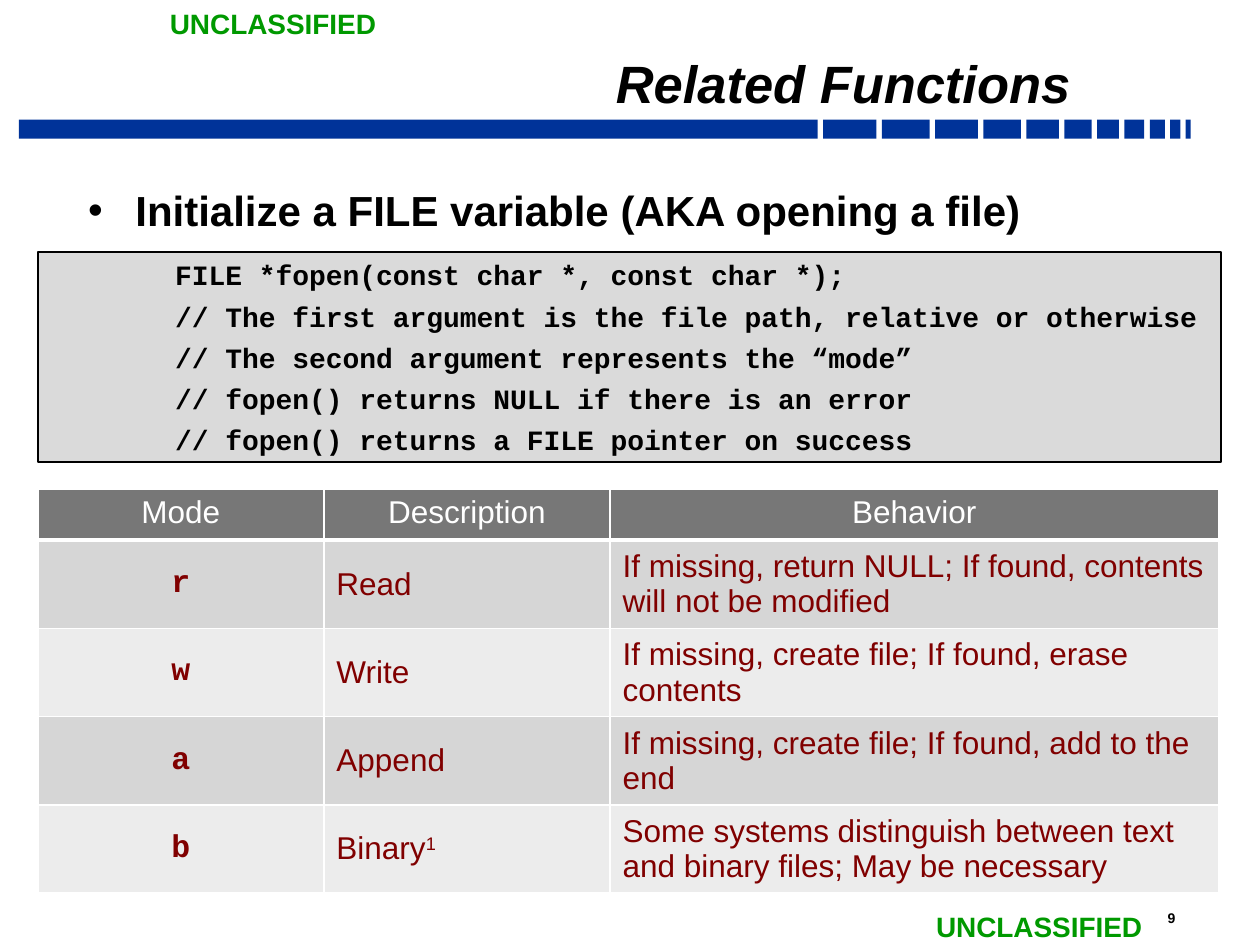
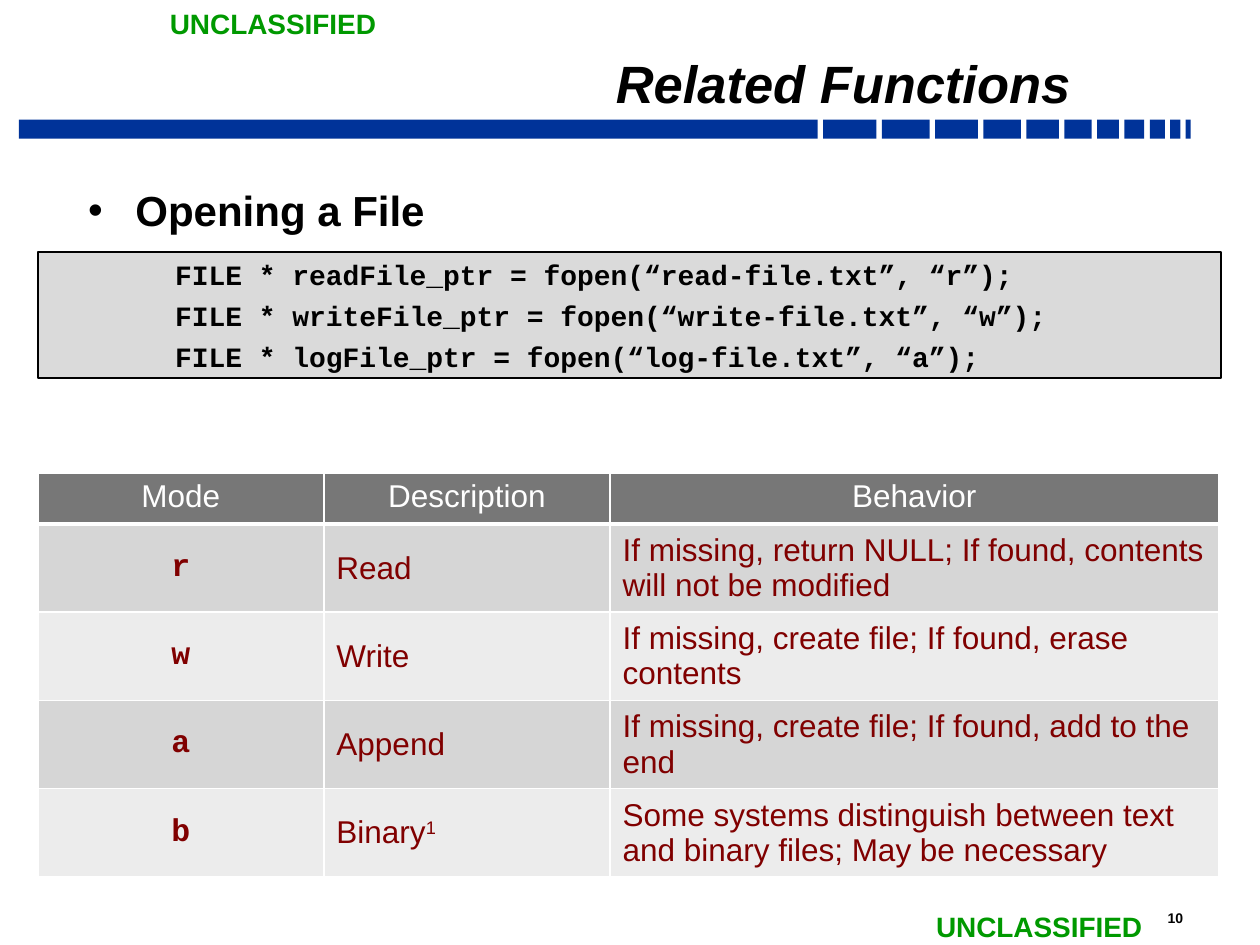
from lxml import etree
from pptx import Presentation
from pptx.dml.color import RGBColor
from pptx.enum.shapes import MSO_SHAPE
from pptx.enum.text import MSO_ANCHOR, PP_ALIGN
from pptx.oxml.ns import qn
from pptx.util import Pt

RECT = MSO_SHAPE.RECTANGLE
TOP, MIDDLE, BOTTOM = MSO_ANCHOR.TOP, MSO_ANCHOR.MIDDLE, MSO_ANCHOR.BOTTOM
LEFT, CENTER, RIGHT = PP_ALIGN.LEFT, PP_ALIGN.CENTER, PP_ALIGN.RIGHT

# Shared look
BLUE, GREEN, MAROON = "003399", "009900", "800000"
BLACK, WHITE = "000000", "FFFFFF"
PANEL, HEAD, BANDS = "DADADA", "777777", ("D6D6D6", "ECECEC")
SANS, MONO = "Arial", "Courier New"
TITLE = dict(name=SANS, size=Pt(30), bold=True, italic=True)
POINT = dict(name=SANS, size=Pt(24), bold=True)
CODE = dict(name=MONO, size=Pt(16), bold=True)
MARK = dict(name=SANS, size=Pt(16), bold=True)
NUMBER = dict(name=SANS, size=Pt(8), bold=True)
CELL = dict(name=SANS, size=Pt(18), bold=False)
KEY = dict(name=MONO, size=Pt(18), bold=True)
TIGHT = (6.5, 3.2)
LOOSE = (7.2, 3.6)

# Widths of the blocks in the band, left to right
BLOCKS = (456.5, 30.4, 27.4, 24.4, 21.5, 18.6, 15.7, 12.4, 11.4, 8.6, 5.8, 2.9)
GAP = 3.1

COLS = (163.5, 163.5, 347.8)
MODES = (
    ("Mode", "Description", "Behavior"),
    ("r", "Read",
     "If missing, return NULL; If found, contents will not be modified"),
    ("w", "Write", "If missing, create file; If found, erase contents"),
    ("a", "Append", "If missing, create file; If found, add to the end"),
    ("b", "Binary^1",
     "Some systems distinguish between text and binary files; "
     "May be necessary"),
)

SLIDES = (
    dict(number=9, point="Initialize a FILE variable (AKA opening a file)",
         code=("FILE *fopen(const char *, const char *);",
               "// The first argument is the file path, relative or otherwise",
               "// The second argument represents the “mode”",
               "// fopen() returns NULL if there is an error",
               "// fopen() returns a FILE pointer on success"),
         tall=120, table=279.4),
    dict(number=10, point="Opening a File",
         code=("FILE * readFile_ptr = fopen(“read-file.txt”, “r”);",
               "FILE * writeFile_ptr = fopen(“write-file.txt”, “w”);",
               "FILE * logFile_ptr = fopen(“log-file.txt”, “a”);"),
         tall=72, table=270.2),
)


def color(value):
    return RGBColor.from_string(value)


def points(box):
    return [Pt(v) for v in box]


def style(run, font, ink):
    for name, value in font.items():
        setattr(run.font, name, value)
    run.font.color.rgb = color(ink)


def write(frame, lines, font, ink=BLACK, align=LEFT, before=0):
    """Fill a text frame; a caret in a line starts a superscript."""
    for i, line in enumerate(lines):
        para = frame.add_paragraph() if i else frame.paragraphs[0]
        para.alignment = align
        if before:
            para.space_before = Pt(before)
        for j, part in enumerate(line.split("^")):
            run = para.add_run()
            run.text = part
            style(run, font, ink)
            if j:
                run._r.get_or_add_rPr().set("baseline", "30000")


def setup(frame, inset, anchor=TOP, wrap=True):
    side, edge = points(inset)
    values = dict(margin_left=side, margin_right=side, margin_top=edge,
                  margin_bottom=edge, vertical_anchor=anchor, word_wrap=wrap)
    for name, value in values.items():
        setattr(frame, name, value)
    return frame


def indent(para, left, first=0):
    props = para._p.get_or_add_pPr()
    props.set("marL", str(Pt(left)))
    props.set("indent", str(Pt(first)))
    return props


def block(slide, box, fill):
    shape = slide.shapes.add_shape(RECT, *points(box))
    shape.shadow.inherit = False
    shape.fill.solid()
    shape.fill.fore_color.rgb = color(fill)
    shape.line.fill.background()
    return shape


def label(slide, box, text, font, ink=BLACK, wrap=True):
    shape = slide.shapes.add_textbox(*points(box))
    write(setup(shape.text_frame, LOOSE, wrap=wrap), [text], font, ink)


def band(slide, left, top, height):
    for width in BLOCKS:
        block(slide, (left, top, width, height), BLUE)
        left += width + GAP


def frame(slide, number):
    """Band, markings and page number found on each slide."""
    band(slide, 10.8, 68.4, 10.8)
    label(slide, (660.2, 516.2, 38.9, 16.6), str(number), NUMBER)
    for left, top in ((90, 0), (527.8, 516.2)):
        label(slide, (left, top, 133.9, 26.6), "UNCLASSIFIED", MARK, GREEN,
              wrap=False)


def title(slide, box, text):
    shape = slide.shapes.title
    shape.left, shape.top, shape.width, shape.height = points(box)
    text_frame = setup(shape.text_frame, TIGHT, BOTTOM)
    write(text_frame, [text], TITLE, align=RIGHT)
    text_frame.paragraphs[0].line_spacing = 0.7


def point(slide, box, text):
    shape = slide.shapes.add_textbox(*points(box))
    text_frame = setup(shape.text_frame, TIGHT)
    write(text_frame, [text], POINT, before=4.8)
    props = indent(text_frame.paragraphs[0], 27, -27)
    etree.SubElement(props, qn("a:buFont")).set("typeface", SANS)
    etree.SubElement(props, qn("a:buChar")).set("char", "•")


def listing(slide, box, lines):
    shape = block(slide, box, PANEL)
    shape.line.color.rgb = color(BLACK)
    shape.line.width = Pt(1)
    text_frame = setup(shape.text_frame, TIGHT, MIDDLE)
    write(text_frame, lines, CODE, before=4.3)
    for para in text_frame.paragraphs:
        indent(para, 72)


def border(cell, low):
    """White cell edges; low is the width of the bottom edge."""
    props = cell._tc.get_or_add_tcPr()
    for i, (side, width) in enumerate((("L", 1), ("R", 1), ("T", 1),
                                       ("B", low))):
        line = etree.Element(qn("a:ln" + side), w=str(Pt(width)))
        fill = etree.SubElement(line, qn("a:solidFill"))
        etree.SubElement(fill, qn("a:srgbClr")).set("val", WHITE)
        props.insert(i, line)


def modes(slide, left, top):
    heights = [29.2] + [47.6] * (len(MODES) - 1)
    box = (left, top, sum(COLS), sum(heights))
    table = slide.shapes.add_table(len(MODES), len(COLS), *points(box)).table
    table.horz_banding = False
    for col, width in zip(table.columns, COLS):
        col.width = Pt(width)
    for r, (row, height) in enumerate(zip(table.rows, heights)):
        row.height = Pt(height)
        for c, cell in enumerate(row.cells):
            cell.fill.solid()
            cell.fill.fore_color.rgb = color(BANDS[(r - 1) % 2] if r else HEAD)
            cell.vertical_anchor = MIDDLE if r else TOP
            write(cell.text_frame, [MODES[r][c]],
                  KEY if r and c == 0 else CELL,
                  MAROON if r else WHITE,
                  CENTER if r == 0 or c == 0 else LEFT)
            border(cell, 1 if r else 3)


def build(deck, page):
    slide = deck.slides.add_slide(deck.slide_layouts[5])
    frame(slide, page["number"])
    title(slide, (120.2, 25.2, 498.2, 42.5), "Related Functions")
    point(slide, (43.9, 102.2, 653, 372.2), page["point"])
    listing(slide, (21.6, 144, 676.1, page["tall"]), page["code"])
    modes(slide, 21.6, page["table"])


deck = Presentation()
deck.slide_width, deck.slide_height = Pt(720), Pt(540)
for page in SLIDES:
    build(deck, page)
deck.save("out.pptx")
